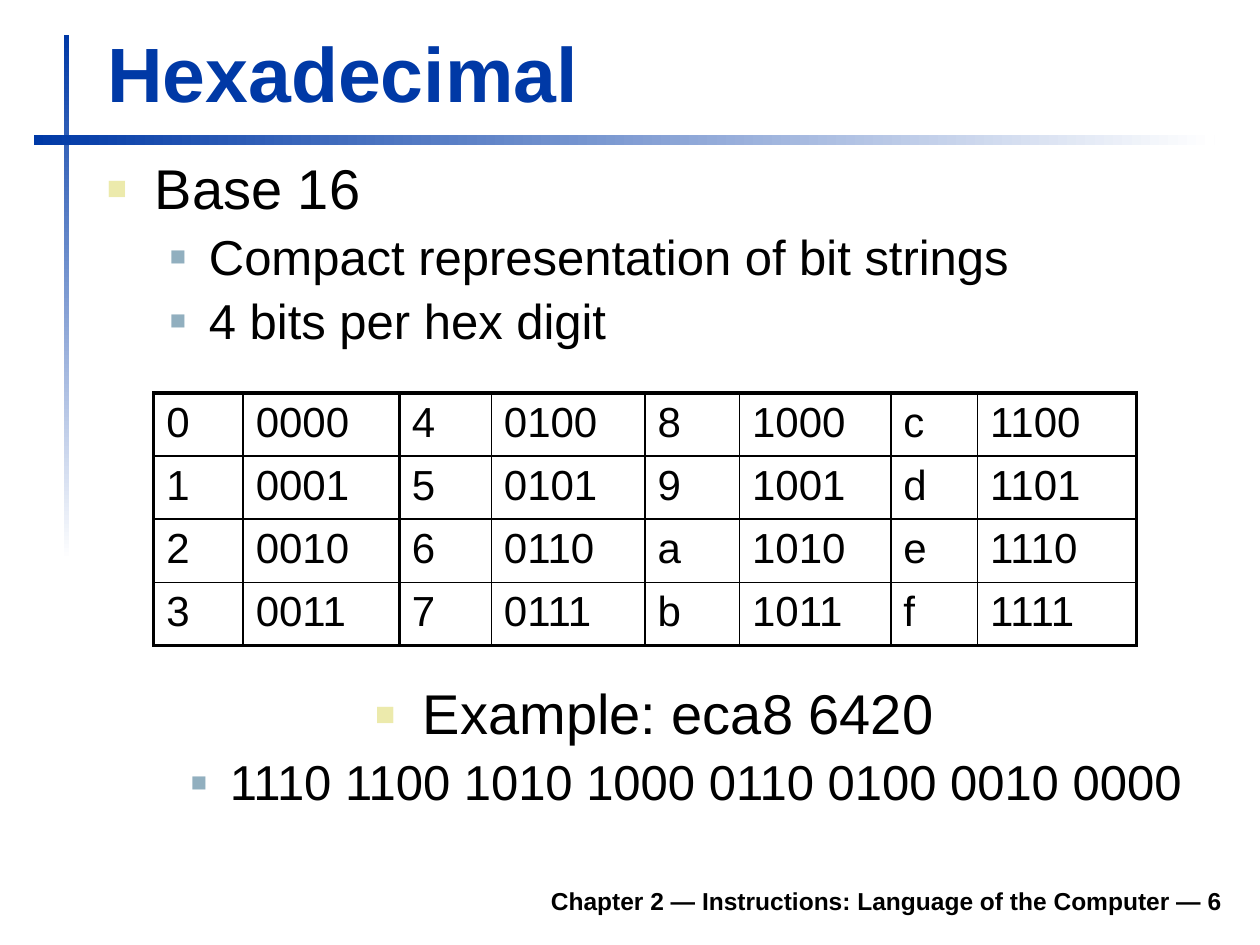
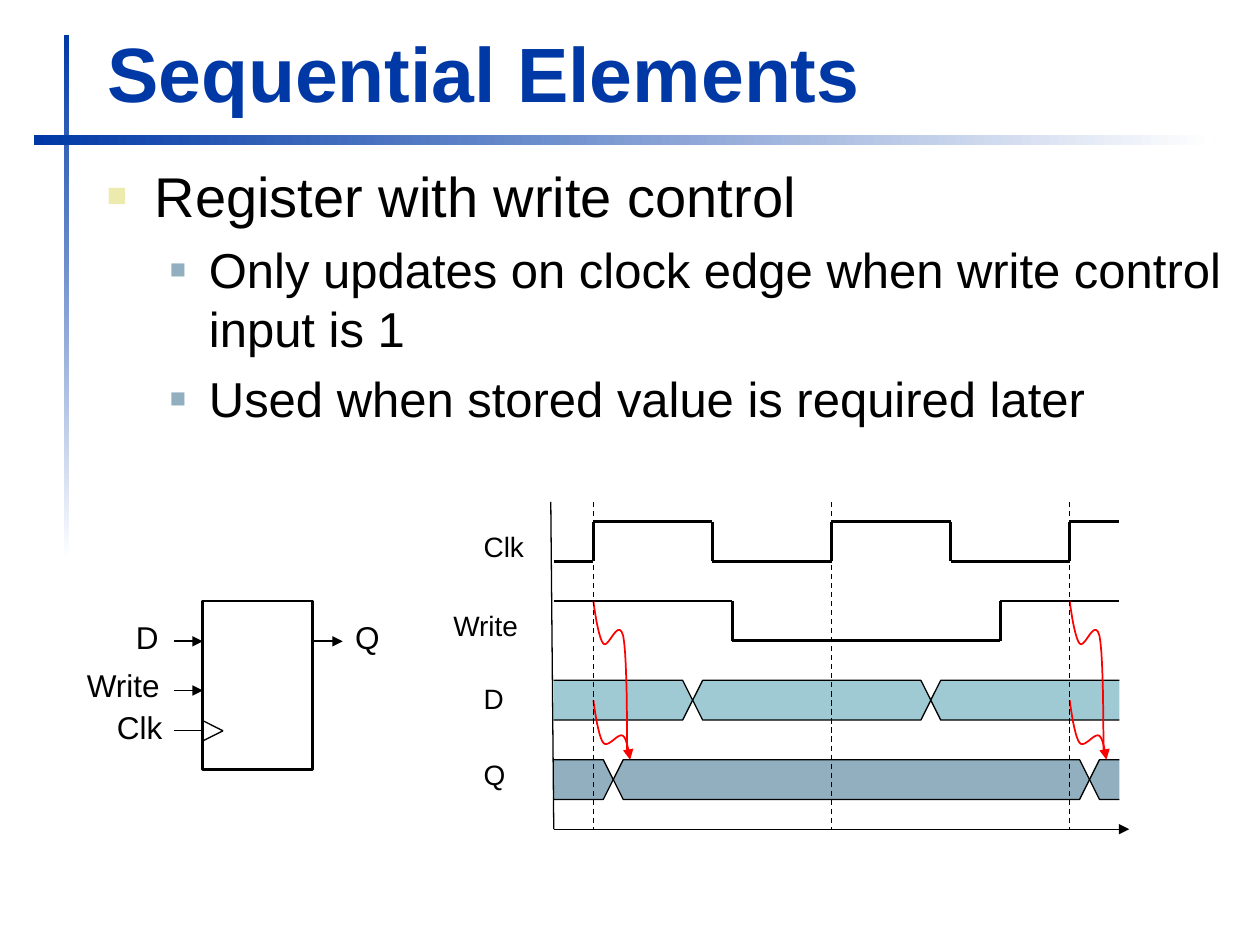
"""Build two lecture slides: a hexadecimal table and a register timing chart."""
import pptx
import pptx.util
import pptx.dml.color
import pptx.enum.dml
import pptx.enum.shapes
import pptx.enum.text
import pptx.oxml
import pptx.oxml.ns
from lxml import etree

INK, BLUE, RED = "000000", "0039A6", "FF0000"
SAND, STEEL, AQUA = "ECEAAC", "91AFBF", "9FCAD3"
FONT = "Arial"
LEVELS = [
    dict(size=32, left=0.38, hang=0.38, tint=SAND, share=60),
    dict(size=28, left=0.81, hang=0.31, tint=STEEL, share=55),
]
BANDS = [((0.51, 0.28, 0.04, 4.17), 270), ((0.27, 1.07, 9.37, 0.08), 0)]

HEX = {
    "title": "Hexadecimal",
    "body": [(0, "Base 16"), (1, "Compact representation of bit strings"),
             (1, "4 bits per hex digit")],
    "sample": [(0, "Example: eca8 6420"),
               (1, "1110 1100 1010 1000 0110 0100 0010 0000")],
    "foot": "Chapter 2 — Instructions: Language of the Computer — 6",
}
COLS = [0.71, 1.24, 0.73, 1.22, 0.75, 1.2, 0.69, 1.26]
ROWS = 4

SEQ = {
    "title": "Sequential Elements",
    "body": [(0, "Register with write control"),
             (1, "Only updates on clock edge when write control input is 1"),
             (1, "Used when stored value is required later")],
}
PINS = [("D", 0.98, 4.86, 0.38), ("Write", 0.59, 5.24, 0.78),
        ("Clk", 0.83, 5.57, 0.56), ("Q", 2.72, 4.86, 0.4)]
WIRES = [(1.38, 5.09, 1.61, 5.09, 1, True), (1.38, 5.48, 1.61, 5.48, 1, True),
         (2.48, 5.09, 2.72, 5.09, 1, True), (1.38, 5.8, 1.61, 5.8, 0.75, False),
         (1.61, 5.72, 1.77, 5.8, 0.75, False),
         (1.61, 5.88, 1.77, 5.8, 0.75, False)]
NAMES = [("Clk", 3.74, 4.15, 0.52), ("Write", 3.5, 4.78, 0.72),
         ("D", 3.74, 5.36, 0.36), ("Q", 3.74, 5.96, 0.38)]

UNIT, LEFT, TOP = 0.07875, 4.71, 4.14
START, END, HIGH, STEP = -4, 53, 4, 8
RISES = [0, 24, 48]
WAVES = [(0, False, [0, 12, 24, 36, 48]), (1, True, [14, 41])]
BUSES = [(2, AQUA, [10, 34]), (3, STEEL, [2, 50])]
SHORT = [(0, 18), (0.1, 18.8), (0.5, 21.7), (1, 22.3), (1.5, 22.9),
         (2.5, 21.2), (3, 21.6), (3.4, 21.9), (3.6, 23.5), (3.7, 24)]
LONG = [(0, 8), (0.1, 8.8), (0.5, 11.7), (1, 12.3), (1.5, 12.9),
        (2.5, 9.6), (3, 11.5), (3.4, 13.4), (3.4, 20.8), (3.4, 23.2)]


def inch(*vals):
    return [pptx.util.Inches(v) for v in vals]


def tint(code):
    return pptx.dml.color.RGBColor.from_string(code)


def sub(node, tag, **attrs):
    return etree.SubElement(node, pptx.oxml.ns.qn("a:" + tag), attrs)


def style(para, size, code=INK, bold=False):
    font = para.font
    font.name, font.size, font.bold = FONT, pptx.util.Pt(size), bold
    font.color.rgb = tint(code)


def ink(shape, code, width, arrow=False):
    shape.line.color.rgb = tint(code)
    shape.line.width = pptx.util.Pt(width)
    if arrow:
        line = shape._element.spPr.find(pptx.oxml.ns.qn("a:ln"))
        sub(line, "tailEnd", type="triangle")


def label(slide, text, box, size, bold=False, wrap=False, align="LEFT"):
    frame = slide.shapes.add_textbox(*inch(*box)).text_frame
    frame.word_wrap = wrap
    para = frame.paragraphs[0]
    para.text = text
    para.alignment = getattr(pptx.enum.text.PP_ALIGN, align)
    style(para, size, bold=bold)


def bullets(slide, items, box, space=1.0, align="LEFT"):
    frame = slide.shapes.add_textbox(*inch(*box)).text_frame
    frame.word_wrap = True
    for num, (depth, text) in enumerate(items):
        para = frame.add_paragraph() if num else frame.paragraphs[0]
        look = LEVELS[depth]
        para.text, para.level = text, depth
        para.alignment = getattr(pptx.enum.text.PP_ALIGN, align)
        para.line_spacing = space
        para.space_before = pptx.util.Pt(round(look["size"] * 0.23, 1))
        style(para, look["size"])
        prop = para._p.get_or_add_pPr()
        left, hang = inch(look["left"], look["hang"])
        prop.set("marL", str(left))
        prop.set("indent", str(-hang))
        mark = sub(prop, "buClr")
        sub(mark, "srgbClr", val=look["tint"])
        sub(prop, "buSzPct", val=str(look["share"] * 1000))
        sub(prop, "buFont", typeface=FONT)
        sub(prop, "buChar", char="■")


def line(slide, x1, y1, x2, y2, width, arrow=False, dash=False):
    kind = pptx.enum.shapes.MSO_CONNECTOR.STRAIGHT
    wire = slide.shapes.add_connector(kind, *inch(x1, y1, x2, y2))
    ink(wire, INK, width, arrow)
    if dash:
        wire.line.dash_style = pptx.enum.dml.MSO_LINE.DASH
    sub(wire._element.spPr, "effectLst")


def spot(x, y):
    return LEFT + x * UNIT, TOP + y * UNIT


def rule(slide, start, stop, width, **opts):
    line(slide, *spot(*start), *spot(*stop), width, **opts)


def outline(slide, points, code, width, fill=None, close=False, arrow=False):
    spots = [inch(*spot(*point)) for point in points]
    build = slide.shapes.build_freeform(*spots[0])
    build.add_line_segments(spots[1:], close=close)
    shape = build.convert_to_shape()
    shape.shadow.inherit = False
    if fill:
        shape.fill.solid()
        shape.fill.fore_color.rgb = tint(fill)
    else:
        shape.fill.background()
    ink(shape, code, width, arrow)


def curve(knots, shift, parts=10):
    points = [knots[0]]
    for i in range(0, len(knots) - 1, 3):
        for k in range(1, parts + 1):
            t = k / parts
            mix = ((1 - t) ** 3, 3 * t * (1 - t) ** 2, 3 * t * t * (1 - t), t ** 3)
            points.append(tuple(sum(m * p[a] for m, p in zip(mix, knots[i:i + 4]))
                                for a in (0, 1)))
    return [(x + shift, y) for x, y in points]


def start(deck, data, tall, space):
    slide = deck.slides.add_slide(deck.slide_layouts[5])
    for box, angle in BANDS:
        band = slide.shapes.add_shape(
            pptx.enum.shapes.MSO_SHAPE.RECTANGLE, *inch(*box))
        band.shadow.inherit = False
        band.line.fill.background()
        band.fill.gradient()
        band.fill.gradient_angle = angle
        for stop, code in zip(band.fill.gradient_stops, (BLUE, "FFFFFF")):
            stop.color.rgb = tint(code)
    head = slide.shapes.title
    head.left, head.top, head.width, head.height = inch(0.75, 0.16, 9.03, 0.83)
    frame = head.text_frame
    frame.text = data["title"]
    frame.auto_size = pptx.enum.text.MSO_AUTO_SIZE.NONE
    frame.vertical_anchor = pptx.enum.text.MSO_ANCHOR.BOTTOM
    frame.paragraphs[0].alignment = pptx.enum.text.PP_ALIGN.LEFT
    style(frame.paragraphs[0], 44, BLUE, True)
    bullets(slide, data["body"], (0.75, 1.23, 9.05, tall), space)
    return slide


def edge(index, count, pair=False):
    if index in (0, count):
        return 2.25
    return 1.5 if pair and index % 2 == 0 else 1


def border(cell, row, col):
    prop = cell._tc.get_or_add_tcPr()
    sides = {"lnL": edge(col, len(COLS), True), "lnR": edge(col + 1, len(COLS), True),
             "lnT": edge(row, ROWS), "lnB": edge(row + 1, ROWS)}
    for side, width in sides.items():
        node = sub(prop, side, w=str(pptx.util.Pt(width)))
        sub(sub(node, "solidFill"), "srgbClr", val=INK)


def digits(slide):
    grid = slide.shapes.add_table(
        ROWS, len(COLS), *inch(1.22, 3.12, sum(COLS), ROWS * 0.47)).table
    grid.first_row = grid.horz_banding = False
    for col, width in enumerate(COLS):
        grid.columns[col].width = pptx.util.Inches(width)
        for row in range(ROWS):
            cell = grid.cell(row, col)
            value = col // 2 * ROWS + row
            cell.text = f"{value:04b}" if col % 2 else f"{value:x}"
            style(cell.text_frame.paragraphs[0], 24)
            border(cell, row, col)
            cell.fill.background()


def latch(slide):
    box = slide.shapes.add_shape(
        pptx.enum.shapes.MSO_SHAPE.RECTANGLE, *inch(1.61, 4.77, 0.87, 1.34))
    box.shadow.inherit = False
    box.fill.background()
    ink(box, INK, 1.5)
    for wire in WIRES:
        line(slide, *wire)
    for text, x, y, wide in PINS:
        label(slide, text, (x, y, wide, 0.4), 18)


def wave(slide, row, high, flips):
    y = {True: row * STEP, False: row * STEP + HIGH}
    points = [(START, y[high])]
    for x in flips:
        points += [(x, y[high]), (x, y[not high])]
        high = not high
    points.append((END, y[high]))
    for a, b in zip(points, points[1:]):
        rule(slide, a, b, 1.5)


def bus(slide, row, fill, swaps):
    top, mid, low = (row * STEP + d for d in (0, HIGH / 2, HIGH))
    a, b = swaps
    first = [(START, top), (a - 1, top), (a, mid), (a - 1, low), (START, low)]
    body = [(a, mid), (a + 1, top), (b - 1, top), (b, mid), (b - 1, low), (a + 1, low)]
    last = [(END, top), (b + 1, top), (b, mid), (b + 1, low), (END, low)]
    for points in (first, body, last):
        outline(slide, points, INK, 0.75, fill, close=points is body)


def timing(slide):
    for item in WAVES:
        wave(slide, *item)
    for item in BUSES:
        bus(slide, *item)
    rule(slide, (START, 31), (END + 1, 31), 0.75, arrow=True)
    rule(slide, (START, 31), (START - 0.3, -2), 0.75)
    for text, x, y, wide in NAMES:
        label(slide, text, (x, y, wide, 0.37), 16)
    for x in (RISES[0], RISES[-1]):
        outline(slide, curve(SHORT, x), RED, 1, arrow=True)
        outline(slide, curve(LONG, x), RED, 1)
    for x in RISES:
        rule(slide, (x, -2), (x, 31), 0.75, dash=True)


def main():
    deck = pptx.Presentation()
    deck.slide_width, deck.slide_height = inch(10, 7.5)
    slide = start(deck, HEX, 1.73, 0.9)
    digits(slide)
    bullets(slide, HEX["sample"], (0.67, 5.4, 9.05, 1.26), 0.9, "CENTER")
    label(slide, HEX["foot"], (1.85, 6.98, 7.95, 0.39), 14, True, True, "RIGHT")
    slide = start(deck, SEQ, 2.52, 1.0)
    latch(slide)
    timing(slide)
    deck.save("out.pptx")


if __name__ == "__main__":
    main()
